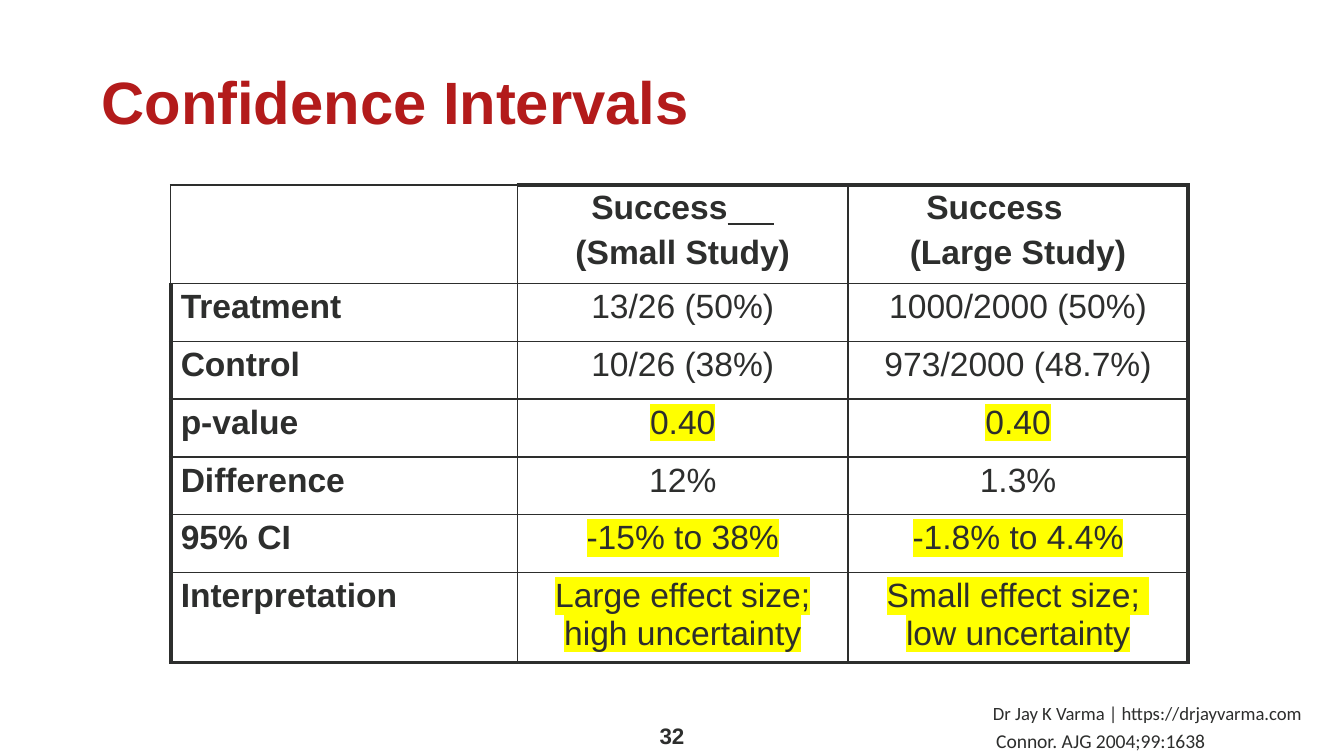
import pptx
import pptx.dml.color
import pptx.enum.text
import pptx.oxml
import pptx.oxml.ns
import pptx.util

PX = 4572  # EMU per px, 200 px to the inch
INK, RED, YELLOW = "2D2E2D", "B31B1B", "FFFF00"
THIN, THICK = 1, 2.25
NS = pptx.oxml.ns.nsdecls("a")
ALIGN = pptx.enum.text.PP_ALIGN
ANCHOR = pptx.enum.text.MSO_ANCHOR
AUTO = pptx.enum.text.MSO_AUTO_SIZE


def px(n):
    return pptx.util.Emu(n * PX)


def color(value):
    return pptx.dml.color.RGBColor.from_string(value)


def xml(text):
    return pptx.oxml.parse_xml(text)


class Slide:
    def __init__(self, prs):
        self.s = prs.slides.add_slide(prs.slide_layouts[6])

    def style(self, r, size, font="Arial", ink=INK, bold=False, mark=None):
        f = r.font
        f.size, f.name, f.bold = pptx.util.Pt(size), font, bold
        f.color.rgb = color(ink)
        if mark:
            fill = r._r.rPr.find(pptx.oxml.ns.qn("a:solidFill"))
            fill.addnext(xml(f'<a:highlight {NS}><a:srgbClr val="{mark}"/></a:highlight>'))

    def text(self, box, text, size, align=ALIGN.LEFT, anchor=ANCHOR.TOP,
             wrap=True, grow=False, inset=None, **look):
        tf = self.s.shapes.add_textbox(*map(px, box)).text_frame
        tf.text = text
        tf.word_wrap, tf.vertical_anchor = wrap, anchor
        tf.auto_size = AUTO.SHAPE_TO_FIT_TEXT if grow else AUTO.NONE
        if inset is not None:
            tf.margin_left = tf.margin_right = tf.margin_top = tf.margin_bottom = px(inset)
        p = tf.paragraphs[0]
        p.alignment = align
        self.style(p.runs[0], size, **look)
        return p

    def table(self, left, top, widths, heights, rows, marked):
        box = (left, top, sum(widths), sum(heights))
        tbl = self.s.shapes.add_table(len(rows), len(widths), *map(px, box)).table
        tbl.first_row = tbl.horz_banding = False
        for col, width in zip(tbl.columns, widths):
            col.width = px(width)
        for row, height in zip(tbl.rows, heights):
            row.height = px(height)
        for i, row in enumerate(rows):
            for j, text in enumerate(row):
                cell = tbl.cell(i, j)
                self.cell(cell, text, bold=i == 0 or j == 0, centred=j > 0,
                          mark=YELLOW if j and row[0] in marked else None)
                # Thick outer frame, except around the empty corner cell
                self.borders(cell, L=j == 0 and i > 0, R=j == len(row) - 1,
                             T=i == 0 and j > 0, B=i == len(rows) - 1)
        return tbl

    def cell(self, cell, text, bold, centred, mark):
        cell.fill.background()
        cell.margin_left = cell.margin_right = px(15)
        cell.margin_top = cell.margin_bottom = px(7)
        cell.text_frame.text = text
        for p in cell.text_frame.paragraphs:
            p.alignment = ALIGN.CENTER if centred else ALIGN.LEFT
            p._p.get_or_add_pPr().append(
                xml(f'<a:spcBef {NS}><a:spcPct val="20000"/></a:spcBef>'))
            p.font.size = pptx.util.Pt(18)
            for r in p.runs:
                self.style(r, 18, bold=bold, mark=mark)

    def borders(self, cell, **thick):
        tcPr = cell._tc.get_or_add_tcPr()
        for k, (side, heavy) in enumerate(thick.items()):
            width = pptx.util.Pt(THICK if heavy else THIN)
            tcPr.insert(k, xml(
                f'<a:ln{side} {NS} w="{width}"><a:solidFill><a:srgbClr val="{INK}"/>'
                f'</a:solidFill></a:ln{side}>'))


def main():
    prs = pptx.Presentation()
    prs.slide_width, prs.slide_height = px(2000), px(1125)
    slide = Slide(prs)

    # Slide number
    slide.text((943, 1064, 114, 60), "32", 12, ALIGN.CENTER, ANCHOR.MIDDLE, bold=True)

    # Study comparison
    rows = [
        ("", "Success\n(Small Study)", "Success\n(Large Study)"),
        ("Treatment", "13/26 (50%)", "1000/2000 (50%)"),
        ("Control", "10/26 (38%)", "973/2000 (48.7%)"),
        ("p-value", "0.40", "0.40"),
        ("Difference", "12%", "1.3%"),
        ("95% CI", "-15% to 38%", "-1.8% to 4.4%"),
        ("Interpretation", "Large effect size; high uncertainty",
         "Small effect size;  low uncertainty"),
    ]
    tbl = slide.table(254, 275, (516, 492, 506), (147, *[86] * 5, 134), rows,
                      marked=("p-value", "95% CI", "Interpretation"))

    # Underlined blank after the first heading, matching indent in the second
    r = tbl.cell(0, 1).text_frame.paragraphs[0].add_run()
    r.text = " " * 5
    slide.style(r, 18, bold=True)
    r.font.underline = True
    for p, indent in zip(tbl.cell(0, 2).text_frame.paragraphs, (70, 0)):
        p._p.get_or_add_pPr().set("marR", str(px(indent)))

    # Citation, title and author
    slide.text((1458, 1075, 360, 56), "Connor. AJG 2004;99:1638", 10.5, ALIGN.CENTER,
               wrap=False, grow=True, font="Calibri")
    p = slide.text((151, 108, 1712, 118), "Confidence Intervals", 32, inset=0,
                   ink=RED, bold=True)
    p.line_spacing, p.space_after = 0.9, pptx.util.Pt(6)
    slide.text((1458, 1034, 1032, 54), "Dr Jay K Varma | https://drjayvarma.com", 10,
               grow=True, font="Calibri")

    prs.save("out.pptx")


if __name__ == "__main__":
    main()
